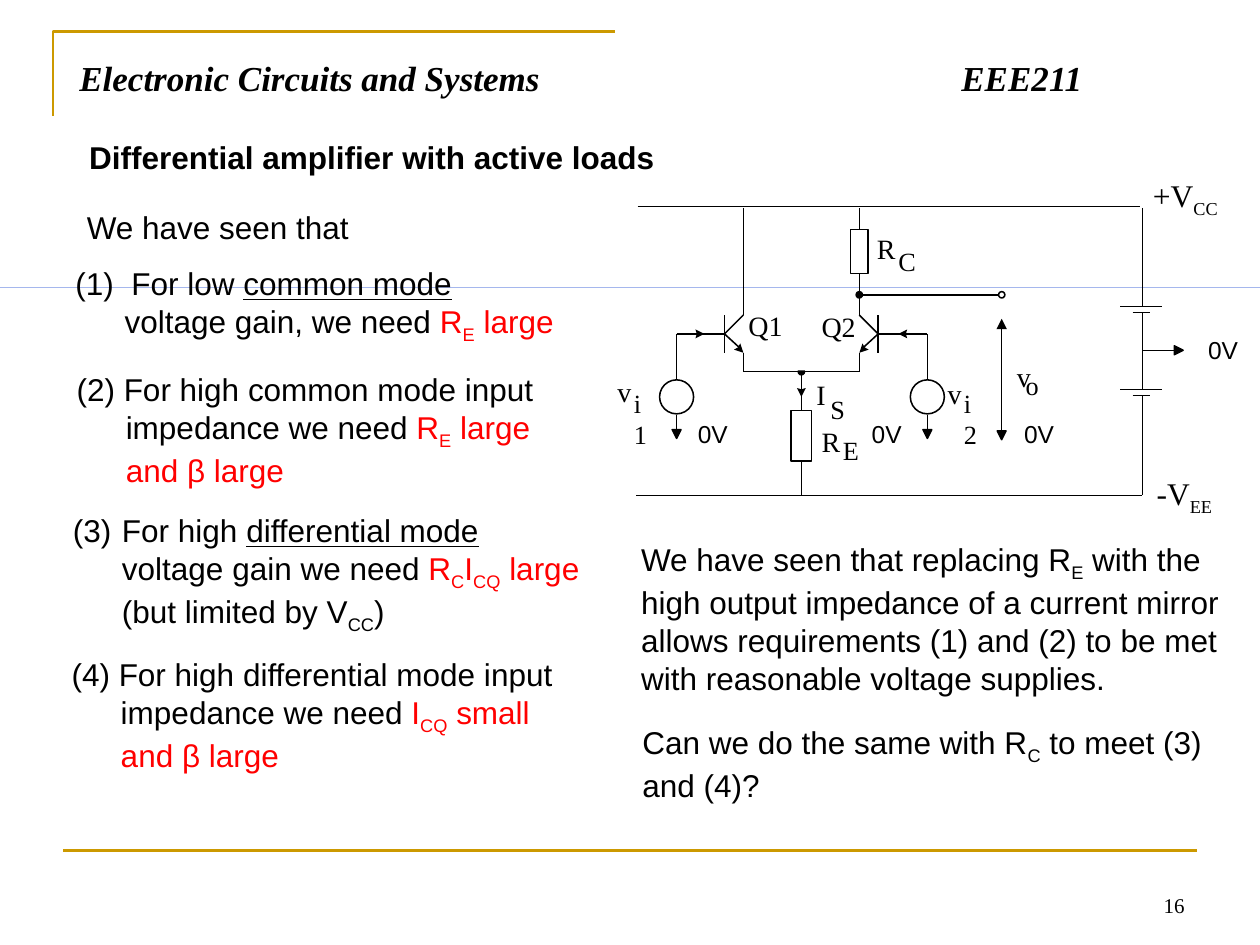
from dataclasses import dataclass
from math import hypot

from lxml.etree import SubElement
from pptx import Presentation
from pptx.dml.color import RGBColor
from pptx.enum.shapes import MSO_CONNECTOR, MSO_SHAPE
from pptx.enum.text import MSO_ANCHOR, MSO_AUTO_SIZE, PP_ALIGN
from pptx.oxml.ns import qn
from pptx.util import Inches, Pt


@dataclass(frozen=True)
class Theme:
    black: str = "000000"
    white: str = "FFFFFF"
    red: str = "FF0000"
    gold: str = "CC9900"
    blue: str = "0033CC"
    sans: str = "Arial"
    serif: str = "Times New Roman"
    title: int = 20
    body: int = 18
    symbol: int = 16
    index: int = 15
    ground: int = 14
    number: int = 12
    rule: float = 1.5
    wire: float = 0.88
    rail: float = 0.75


class SlideBuilder:
    def __init__(self, slide, theme):
        self.slide, self.theme, self.shapes = slide, theme, slide.shapes

    def start_group(self):
        self.shapes = self.slide.shapes.add_group_shape().shapes

    def end_group(self):
        self.shapes = self.slide.shapes

    def font(self, r, size, name, color=None, bold=None, italic=None):
        f = r.font
        f.size, f.name, f.bold, f.italic = Pt(size), name, bold, italic
        f.color.rgb = RGBColor.from_string(color or self.theme.black)

    def title(self, text, x, y, w, h, tab):
        sp = self.slide.shapes.title
        sp.left, sp.top, sp.width, sp.height = map(Inches, (x, y, w, h))
        tf = sp.text_frame
        tf.text = text
        tf.auto_size, tf.vertical_anchor = MSO_AUTO_SIZE.NONE, MSO_ANCHOR.TOP
        p = tf.paragraphs[0]
        p.alignment = PP_ALIGN.LEFT
        tabs = SubElement(p._p.get_or_add_pPr(), qn("a:tabLst"))
        SubElement(tabs, qn("a:tab"), pos=str(Inches(tab)), algn="l")
        self.font(p.runs[0], self.theme.title, self.theme.serif, bold=True, italic=True)

    def text(self, runs, x, y, w, h, size=None, name=None, bold=None, hang=0,
             tight=False, wrap=True, align=None, anchor=MSO_ANCHOR.TOP):
        """Runs are (text, marks): r is red, u underlined, s subscript."""
        sp = self.shapes.add_textbox(*map(Inches, (x, y, w, h)))
        tf = sp.text_frame
        tf.word_wrap, tf.vertical_anchor = wrap, anchor
        if tight:
            tf.margin_left = tf.margin_top = tf.margin_right = tf.margin_bottom = 0
        p = tf.paragraphs[0]
        p.alignment = align
        if hang:
            pPr = p._p.get_or_add_pPr()
            pPr.set("marL", str(Inches(hang)))
            pPr.set("indent", str(-Inches(hang)))
        for text, marks in [(runs, "")] if isinstance(runs, str) else runs:
            r = p.add_run()
            r.text = text
            self.font(r, size or self.theme.body, name or self.theme.sans,
                      self.theme.red if "r" in marks else None, bold)
            if "u" in marks:
                r.font.underline = True
            if "s" in marks:
                r._r.get_or_add_rPr().set("baseline", "-25000")

    def symbol(self, runs, x, y, w, size=None, wrap=False):
        self.text(runs, x, y, w, 0.27, size or self.theme.symbol, self.theme.serif,
                  tight=True, wrap=wrap)

    def wire(self, x1, y1, x2, y2, width=None, color=None, arrow=False):
        cn = self.shapes.add_connector(MSO_CONNECTOR.STRAIGHT, *map(Inches, (x1, y1, x2, y2)))
        cn.line.color.rgb = RGBColor.from_string(color or self.theme.black)
        cn.line.width = Pt(width or self.theme.wire)
        if arrow:
            SubElement(cn.line._get_or_add_ln(), qn("a:tailEnd"), type="triangle")
        SubElement(cn._element.spPr, qn("a:effectLst"))

    def style(self, sp, fill, line, width=None):
        sp.shadow.inherit = False
        for part, color in ((sp.fill, fill), (sp.line.fill, line)):
            if color:
                part.solid()
                part.fore_color.rgb = RGBColor.from_string(color)
            else:
                part.background()
        if line:
            sp.line.width = Pt(width or self.theme.wire)

    def shape(self, kind, x, y, w, h, fill=None, line=None):
        self.style(self.shapes.add_shape(kind, *map(Inches, (x, y, w, h))), fill, line)

    def outline(self, points, fill=None, line=None, width=None, close=True):
        pts = [(Inches(x), Inches(y)) for x, y in points]
        fb = self.shapes.build_freeform(*pts[0], scale=1.0)
        fb.add_line_segments(pts[1:], close=close)
        self.style(fb.convert_to_shape(), fill, line, width)

    def head(self, x, y, dx, dy, outlined=False):
        """Arrowhead with its tip at x, y; notched unless outlined."""
        size, half = 0.07, 0.035
        ux, uy = dx / hypot(dx, dy), dy / hypot(dx, dy)
        bx, by = x - size * ux, y - size * uy
        notch = 0 if outlined else 0.01
        self.outline([(x, y), (bx - half * uy, by + half * ux),
                      (bx + notch * ux, by + notch * uy), (bx + half * uy, by - half * ux)],
                     self.theme.black, self.theme.black if outlined else None)

    def circle(self, x, y, d, fill=None):
        self.shape(MSO_SHAPE.OVAL, x - d / 2, y - d / 2, d, d, fill, self.theme.black)

    def box(self, x, y, w, h):
        self.shape(MSO_SHAPE.RECTANGLE, x - w / 2, y, w, h, self.theme.white, self.theme.black)

    def transistor(self, base, side, source):
        """Transistor facing side (+1 right, -1 left), driven by a source to ground."""
        out = base + 0.15 * side
        self.wire(base, 2.5, base, 2.8)
        self.wire(base, 2.65, out, 2.5)
        self.wire(base, 2.65, base + 0.12 * side, 2.76)
        self.head(out, 2.8, side, 1)
        self.wire(out, 2.8, out, 2.95)
        self.wire(source, 2.65, base, 2.65)
        self.head(base - 0.16 * side, 2.65, side, 0)
        self.wire(source, 2.65, source, 3.02)
        self.circle(source, 3.15, 0.27)
        self.wire(source, 3.29, source, 3.44)
        self.head(source, 3.48, 0, 1, outlined=True)

    def cell(self, y):
        self.wire(8.89, y, 9.22, y, self.theme.rail)
        self.wire(8.99, y + 0.05, 9.13, y + 0.05, self.theme.rail)


def draw_circuit(b, t):
    b.start_group()
    # Differential pair
    b.transistor(5.75, 1, 5.37)
    b.transistor(6.97, -1, 7.36)
    b.wire(5.9, 1.65, 5.9, 2.5)
    b.wire(5.9, 2.95, 6.82, 2.95)
    # Collector load and output
    b.wire(6.82, 1.65, 6.82, 1.82)
    b.box(6.82, 1.82, 0.14, 0.35)
    b.wire(6.82, 2.17, 6.82, 2.5)
    b.circle(6.82, 2.34, 0.05, t.black)
    b.wire(6.82, 2.34, 7.92, 2.34)
    b.circle(7.95, 2.34, 0.05, t.white)
    b.wire(7.95, 3.43, 7.95, 2.53, arrow=True)
    b.head(7.95, 3.49, 0, 1, outlined=True)
    # Emitter resistor
    b.circle(6.36, 2.95, 0.05, t.black)
    b.shape(MSO_SHAPE.RECTANGLE, 6.22, 2.67, 0.22, 0.27, t.white)
    b.wire(6.36, 2.97, 6.36, 3.26)
    b.head(6.36, 3.15, 0, 1)
    b.box(6.36, 3.26, 0.16, 0.4)
    b.wire(6.36, 3.66, 6.36, 3.93)
    # Supply rails and split supply
    b.wire(5.06, 1.64, 9.05, 1.64, t.rail)
    b.wire(5.05, 3.93, 9.06, 3.93, t.rail)
    for top, bottom in ((1.65, 2.43), (2.48, 3.09), (3.14, 3.93)):
        b.wire(9.07, top, 9.07, bottom, t.rail)
    b.cell(2.43)
    b.cell(3.09)
    b.wire(9.07, 2.78, 9.36, 2.78, t.rail)
    b.head(9.39, 2.78, 1, 0, outlined=True)
    # Symbols and their indices
    for text, x, y, w in (("R", 6.96, 1.84, 0.15), ("v", 4.9, 2.97, 0.11),
                          ("Q1", 5.94, 2.45, 0.32), ("Q2", 6.52, 2.46, 0.32),
                          ("I", 6.48, 3, 0.07), ("R", 6.52, 3.37, 0.15),
                          ("v", 7.52, 2.99, 0.11), ("v", 8.07, 2.85, 0.11)):
        b.symbol(text, x, y, w)
    for text, x, y, w in (("C", 7.13, 1.95, 0.14), ("S", 6.59, 3.12, 0.12),
                          ("E", 6.69, 3.45, 0.13), ("o", 8.14, 2.93, 0.1)):
        b.symbol(text, x, y, w, t.index)
    for text, x in (("i1", 5.03), ("i2", 7.65)):
        b.symbol(text, x, 3.07, 0.15, t.index, wrap=True)
    b.symbol([("+V", ""), ("CC", "s")], 9.15, 1.4, 0.54, t.body)
    b.symbol([("-V", ""), ("EE", "s")], 9.18, 3.76, 0.47, t.body)
    for x, y in ((9.49, 2.61), (8.03, 3.28), (6.82, 3.28), (5.44, 3.28)):
        b.text("0V", x, y, 0.5, 0.33, t.ground)
    b.end_group()


def main():
    prs = Presentation()
    prs.slide_width, prs.slide_height = Inches(10), Inches(7.5)
    t = Theme()
    b = SlideBuilder(prs.slides.add_slide(prs.slide_layouts[5]), t)

    # Frame, title and page number
    b.outline([(0.42, 0.92), (0.42, 0.25), (4.88, 0.25)], line=t.gold, width=t.rule, close=False)
    b.wire(0.5, 6.75, 9.5, 6.75, t.rule, t.gold)
    b.shape(MSO_SHAPE.RECTANGLE, 0, 2.28, 10, 0, t.blue)
    b.title("Electronic Circuits and Systems\tEEE211", 0.53, 0.4, 8.92, 0.61, tab=7)
    b.text("16", 7.17, 6.83, 2.33, 0.5, t.number, t.serif,
           align=PP_ALIGN.RIGHT, anchor=MSO_ANCHOR.BOTTOM)

    draw_circuit(b, t)

    # Requirements
    b.text("Differential amplifier with active loads", 0.61, 1.05, 5.21, 0.4, bold=True)
    b.text("We have seen that", 0.59, 1.6, 3.69, 0.4)
    requirements = (
        (0.5, 2.05, 4.02, [("(1)  For low ", ""), ("common mode", "u"),
                           (" voltage gain, we need ", ""), ("R", "r"), ("E", "rs"),
                           (" large", "r")]),
        (0.51, 2.89, 4.14, [("(2) For high common mode input impedance we need ", ""),
                            ("R", "r"), ("E", "rs"), (" large and β large", "r")]),
        (0.48, 4.01, 4.27, [("(3) \tFor high ", ""), ("differential mode", "u"),
                            (" voltage gain we need ", ""), ("R", "r"), ("C", "rs"),
                            ("I", "r"), ("CQ", "rs"), (" large ", "r"),
                            ("(but limited by V", ""), ("CC", "s"), (")", "")]),
        (0.47, 5.15, 4.26, [("(4) For high differential mode input impedance we need ", ""),
                            ("I", "r"), ("CQ", "rs"), (" small and β large", "r")]),
    )
    for x, y, w, runs in requirements:
        b.text(runs, x, y, w, 1, hang=0.39)

    # Conclusion
    b.text([("We have seen that replacing R", ""), ("E", "s"),
            (" with the high output impedance of a current mirror allows requirements "
             "(1) and (2) to be met with reasonable voltage supplies.", "")],
           4.99, 4.24, 4.8, 1.31)
    b.text([("Can we do the same with R", ""), ("C", "s"), (" to meet (3) and (4)?", "")],
           5, 5.69, 4.73, 0.7)
    prs.save("out.pptx")


if __name__ == "__main__":
    main()
